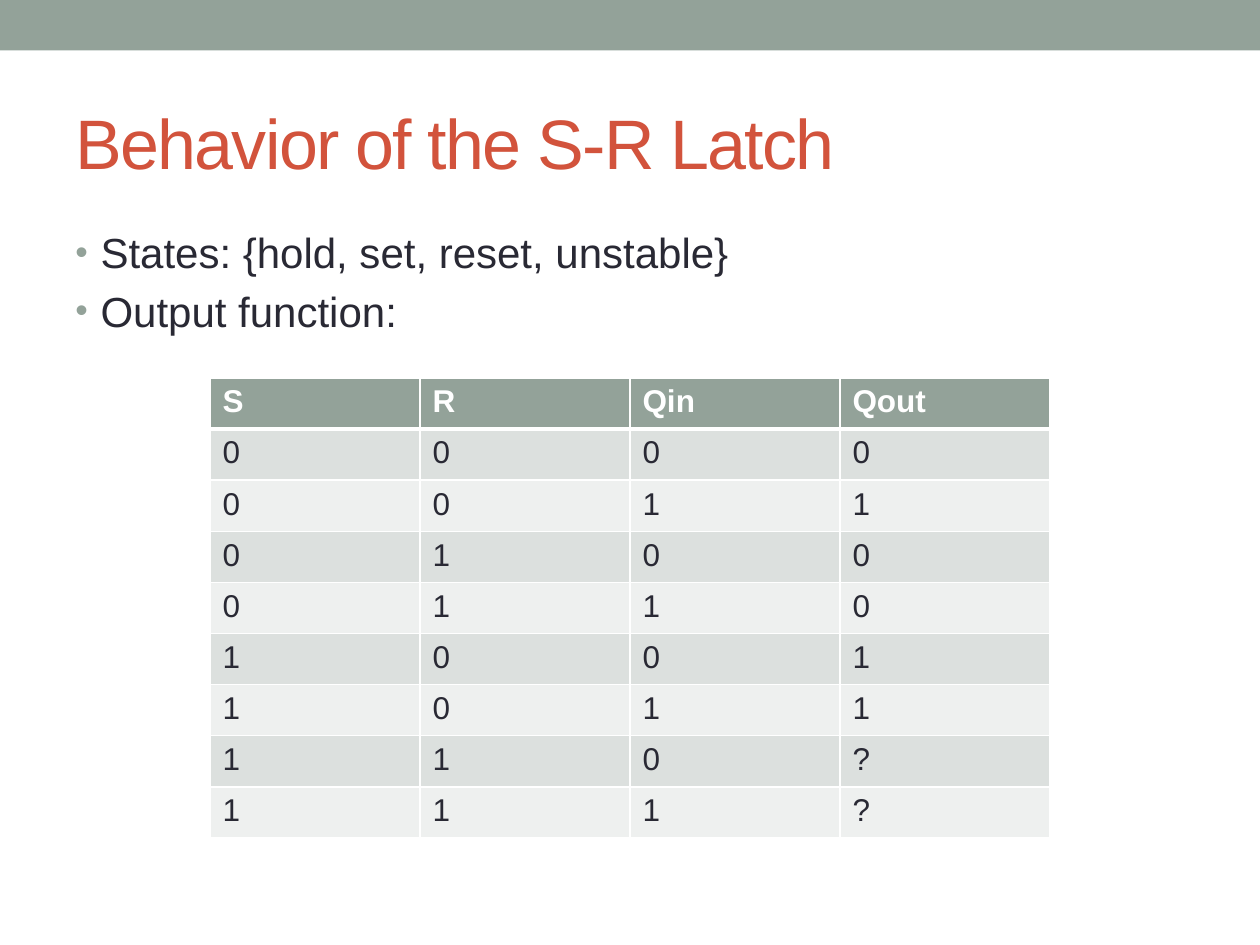
from lxml import etree
from pptx import Presentation
from pptx.dml.color import RGBColor
from pptx.enum.shapes import MSO_SHAPE
from pptx.enum.text import MSO_ANCHOR, PP_ALIGN
from pptx.oxml.ns import qn
from pptx.util import Inches, Pt

RECTANGLE = MSO_SHAPE.RECTANGLE
MIDDLE, TOP = MSO_ANCHOR.MIDDLE, MSO_ANCHOR.TOP
LEFT = PP_ALIGN.LEFT

WIDTH, HEIGHT = Inches(10), Inches(7.5)
MARGIN = WIDTH // 20
FONT = "Arial"
SAGE, RUST, INK, WHITE = "93A299", "D2533C", "292934", "FFFFFF"
BANDS = ("DCE0DE", "EEF0EF")

BULLETS = ("States: {hold, set, reset, unstable}", "Output function:")
TRUTH_TABLE = (
    ("S", "R", "Qin", "Qout"),
    *("0000", "0011", "0100", "0110", "1001", "1011", "110?", "111?"),
)


def color(value):
    return RGBColor.from_string(value)


def add_run(paragraph, text, size, text_color, bold=False):
    run = paragraph.add_run()
    run.text = text
    run.font.name = FONT
    run.font.size = Pt(size)
    run.font.bold = bold
    run.font.color.rgb = color(text_color)
    return run


def add_element(parent, tag, **attributes):
    element = etree.SubElement(parent, qn(tag))
    for name, value in attributes.items():
        element.set(name, str(value))
    return element


def add_header_band(slide):
    band = slide.shapes.add_shape(RECTANGLE, 0, 0, WIDTH, Inches(0.4))
    band.shadow.inherit = False
    band.fill.solid()
    band.fill.fore_color.rgb = color(SAGE)
    band.line.fill.background()


def format_title(slide, text):
    title = slide.shapes.title
    title.left, title.top = MARGIN, Inches(0.58)
    title.width, title.height = WIDTH - 2 * MARGIN, Inches(1.08)
    title.text_frame.vertical_anchor = MIDDLE
    paragraph = title.text_frame.paragraphs[0]
    paragraph.alignment = LEFT
    run = add_run(paragraph, text, 40, RUST)
    run.font._element.set("spc", "-100")


def format_bullet(paragraph):
    indent = Inches(0.2)
    properties = paragraph._p.get_or_add_pPr()
    properties.set("marL", str(indent))
    properties.set("indent", str(-indent))
    spacing = add_element(properties, "a:spcBef")
    add_element(spacing, "a:spcPct", val=20000)
    bullet_color = add_element(properties, "a:buClr")
    add_element(bullet_color, "a:srgbClr", val=SAGE)
    add_element(properties, "a:buSzPct", val=85000)
    add_element(properties, "a:buFont", typeface=FONT)
    add_element(properties, "a:buChar", char="•")


def add_bullets(slide, lines):
    box = slide.shapes.add_textbox(
        MARGIN, Inches(1.75), WIDTH - 2 * MARGIN, Inches(5.33))
    frame = box.text_frame
    frame.word_wrap = True
    frame.vertical_anchor = TOP
    for index, line in enumerate(lines):
        paragraph = frame.add_paragraph() if index else frame.paragraphs[0]
        format_bullet(paragraph)
        add_run(paragraph, line, 24, INK)


def add_borders(cell, top, bottom):
    properties = cell._tc.get_or_add_tcPr()
    widths = {"a:lnL": 1, "a:lnR": 1, "a:lnT": top, "a:lnB": bottom}
    for tag, width in widths.items():
        line = add_element(properties, tag, w=Pt(width))
        fill = add_element(line, "a:solidFill")
        add_element(fill, "a:srgbClr", val=WHITE)


def add_truth_table(slide, rows):
    # Two thirds of the slide wide, centred
    width = WIDTH * 2 // 3
    frame = slide.shapes.add_table(
        len(rows), len(rows[0]), (WIDTH - width) // 2, Inches(3),
        width, Inches(3.65))
    table = frame.table
    for row_index, values in enumerate(rows):
        header = row_index == 0
        fill = SAGE if header else BANDS[(row_index - 1) % 2]
        for column_index, value in enumerate(values):
            cell = table.cell(row_index, column_index)
            add_borders(cell, 3 if row_index == 1 else 1, 3 if header else 1)
            cell.fill.solid()
            cell.fill.fore_color.rgb = color(fill)
            add_run(cell.text_frame.paragraphs[0], value, 18,
                    WHITE if header else INK, header)


def main():
    presentation = Presentation()
    presentation.slide_width, presentation.slide_height = WIDTH, HEIGHT
    title_only = presentation.slide_layouts[5]
    slide = presentation.slides.add_slide(title_only)

    # Heading
    add_header_band(slide)
    format_title(slide, "Behavior of the S-R Latch")

    # Content
    add_bullets(slide, BULLETS)
    add_truth_table(slide, TRUTH_TABLE)

    presentation.save("out.pptx")


main()
